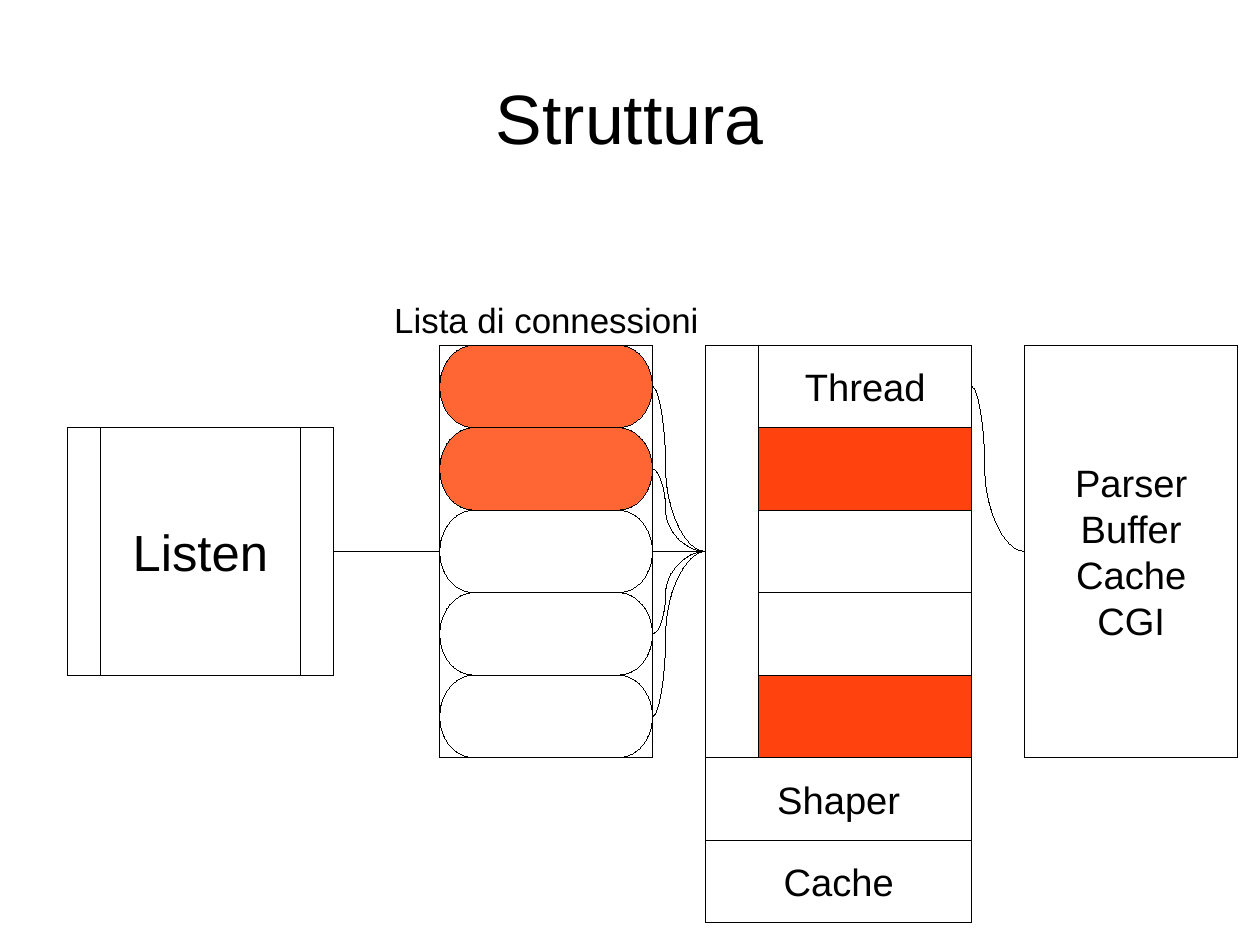
from lxml import etree
from pptx import Presentation, util as u
from pptx.dml.color import RGBColor
from pptx.enum import shapes, text
from pptx.oxml.ns import qn

# All lengths are in centimetres
SLIDE_W, SLIDE_H = 28, 21
BLACK = RGBColor(0x00, 0x00, 0x00)
WHITE = RGBColor(0xFF, 0xFF, 0xFF)
ORANGE = RGBColor(0xFF, 0x66, 0x33)
RED = RGBColor(0xFF, 0x42, 0x0E)
FONT = "Arial"
HAIRLINE = u.Emu(1)

# Diagram grid: 22 columns by 7 rows
LEFT, TOP, RIGHT, BOTTOM = 1.5, 7.67, 27.5, 20.5
COLUMN = (RIGHT - LEFT) / 22
ROW = (BOTTOM - TOP) / 7
SLOTS = 5

SITE_LEFT, SITE_RIGHT = 1, 3
KIND = shapes.MSO_SHAPE
LINK = shapes.MSO_CONNECTOR


def grid_box(column, row, columns, rows):
    """Turn grid cells into left, top, width and height."""
    return (LEFT + column * COLUMN, TOP + row * ROW, columns * COLUMN, rows * ROW)


def write_text(frame, content, size, align=text.PP_ALIGN.CENTER,
               anchor=text.MSO_ANCHOR.MIDDLE):
    frame.word_wrap = True
    frame.vertical_anchor = anchor
    for index, line in enumerate(content.split("\n")):
        paragraph = frame.paragraphs[0] if index == 0 else frame.add_paragraph()
        paragraph.alignment = align
        run = paragraph.add_run()
        run.text = line
        run.font.name = FONT
        run.font.size = u.Pt(size)
        run.font.color.rgb = BLACK


def add_label(slide, box, content, size, **text_format):
    label = slide.shapes.add_textbox(*map(u.Cm, box))
    write_text(label.text_frame, content, size, **text_format)


def draw_outline(line):
    line.color.rgb = BLACK
    line.width = HAIRLINE


def add_block(slide, box, content="", size=24, fill=WHITE,
              kind=KIND.FLOWCHART_PROCESS):
    block = slide.shapes.add_shape(kind, *map(u.Cm, box))
    block.shadow.inherit = False
    block.fill.solid()
    block.fill.fore_color.rgb = fill
    draw_outline(block.line)
    if content:
        write_text(block.text_frame, content, size)
    return block


def link(slide, source, target, kind=LINK.CURVE, bend=25000):
    """Join the right side of source to the left side of target."""
    connector = slide.shapes.add_connector(kind, 0, 0, 0, 0)
    connector.begin_connect(source, SITE_RIGHT)
    connector.end_connect(target, SITE_LEFT)
    draw_outline(connector.line)
    properties = connector._element.spPr
    etree.SubElement(properties, qn("a:effectLst"))
    if kind == LINK.CURVE:
        adjustments = properties.find(qn("a:prstGeom")).get_or_add_avLst()
        etree.SubElement(adjustments, qn("a:gd"), name="adj1", fmla=f"val {bend}")


def add_connection_list(slide, column, columns):
    """Caption, frame and one rounded slot per connection."""
    frame = add_block(slide, grid_box(column, 0, columns, SLOTS))
    fills = [ORANGE, ORANGE, WHITE, WHITE, WHITE]
    slots = [add_block(slide, grid_box(column, row, columns, 1), fill=fill,
                       kind=KIND.FLOWCHART_TERMINATOR)
             for row, fill in enumerate(fills)]
    caption_box = (LEFT + (column - 1) * COLUMN - 0.08, TOP - 1.17, 7.39, 1.32)
    add_label(slide, caption_box, "Lista di connessioni", 22,
              align=text.PP_ALIGN.LEFT, anchor=text.MSO_ANCHOR.TOP)
    return frame, slots


def add_thread_pool(slide, column, columns):
    """Dispatcher bar, thread stack and the two shared services below."""
    fills = [WHITE, RED, WHITE, WHITE, RED]
    threads = [add_block(slide, grid_box(column + 1, row, columns - 1, 1),
                         "Thread" if row == 0 else "", fill=fill)
               for row, fill in enumerate(fills)]
    dispatcher = add_block(slide, grid_box(column, 0, 1, SLOTS))
    for row, service in enumerate(["Shaper", "Cache"], start=SLOTS):
        add_block(slide, grid_box(column, row, columns, 1), service)
    return dispatcher, threads


def build_structure_slide(presentation):
    slide = presentation.slides.add_slide(presentation.slide_layouts[6])

    # Title
    add_label(slide, (0.05 * SLIDE_W, 0.04 * SLIDE_H, 0.9 * SLIDE_W, SLIDE_H / 6),
              "Struttura", 44)

    # Stages from left to right
    listener = add_block(slide, grid_box(0, 1, 5, 3), "Listen", 32,
                         kind=KIND.FLOWCHART_PREDEFINED_PROCESS)
    connections, slots = add_connection_list(slide, 7, 4)
    dispatcher, threads = add_thread_pool(slide, 12, 5)
    handlers = add_block(slide, grid_box(18, 0, 4, SLOTS),
                         "Parser\nBuffer\nCache\nCGI")

    # Links between the stages
    link(slide, listener, connections, kind=LINK.STRAIGHT)
    for slot in slots:
        link(slide, slot, dispatcher)
    link(slide, threads[0], handlers)


def main():
    presentation = Presentation()
    presentation.slide_width = u.Cm(SLIDE_W)
    presentation.slide_height = u.Cm(SLIDE_H)
    build_structure_slide(presentation)
    presentation.save("out.pptx")


if __name__ == "__main__":
    main()
